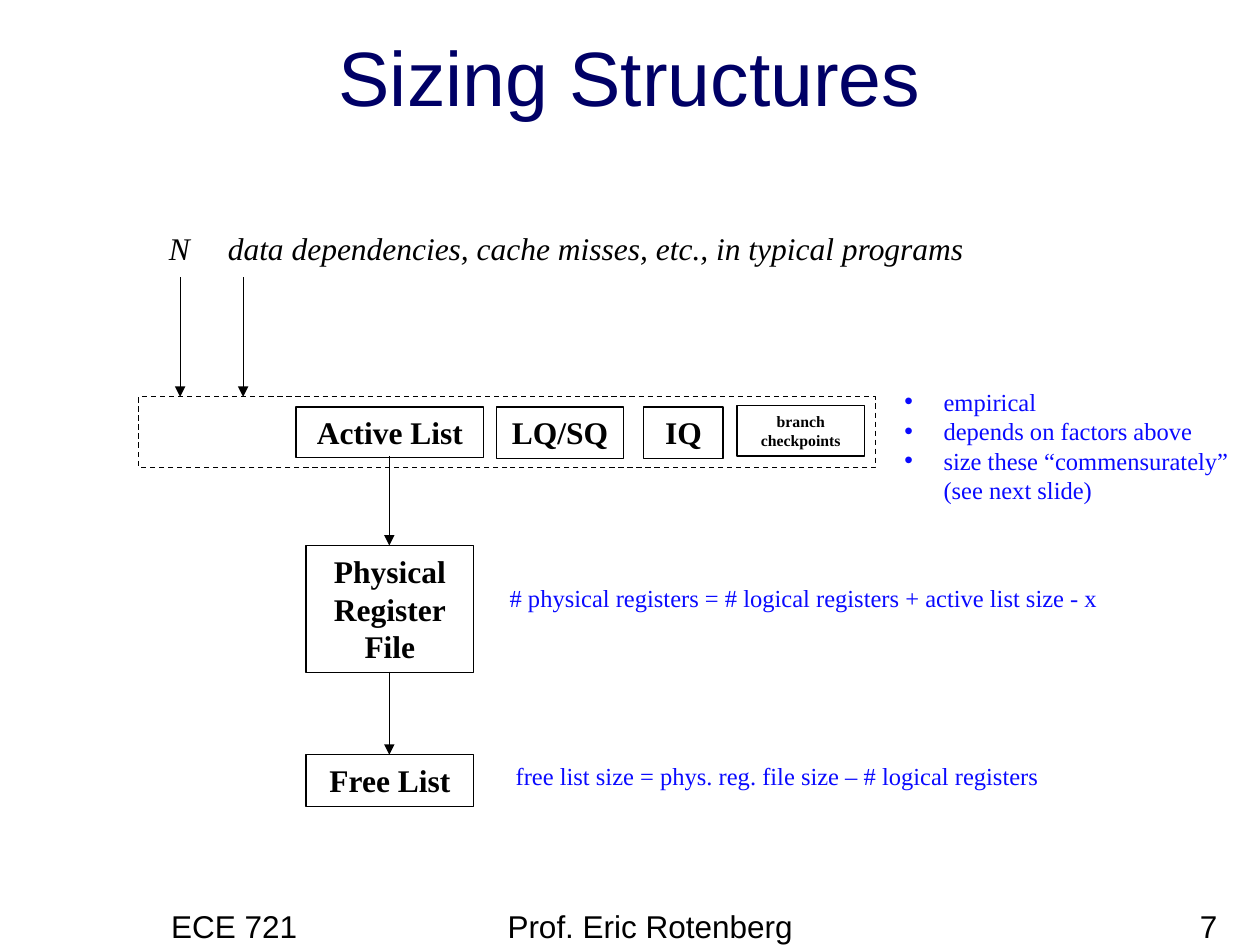
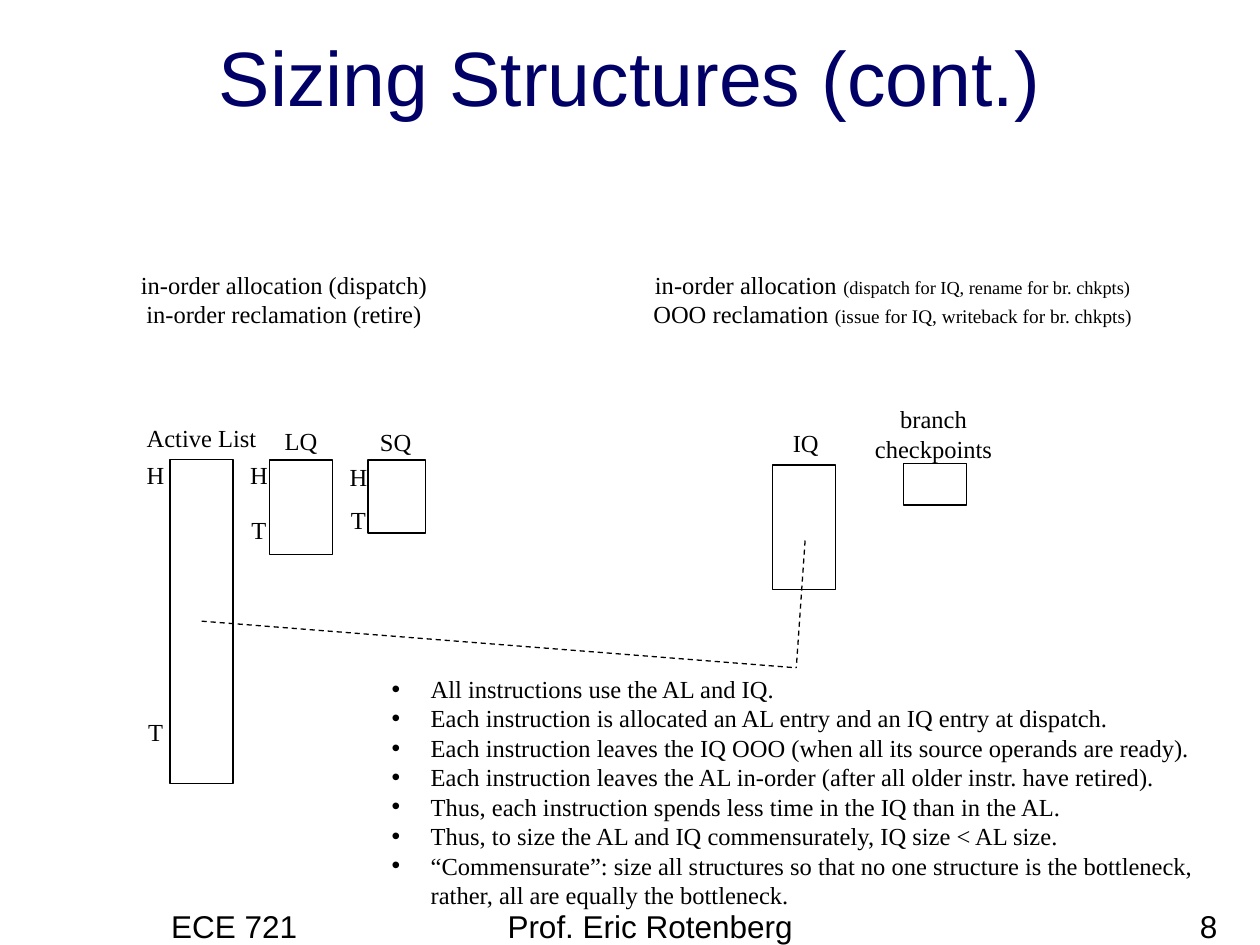
from dataclasses import dataclass
from typing import NamedTuple

from lxml import etree
from pptx import Presentation
from pptx.dml.color import RGBColor
from pptx.enum import dml, shapes, text
from pptx.oxml import ns
from pptx import util as u

# Shared look
NAVY, BLACK, BLUE = "000066", "000000", "0A0AFF"
SANS, SERIF = "Arial", "Times New Roman"
LEFT, CENTER, RIGHT = text.PP_ALIGN.LEFT, text.PP_ALIGN.CENTER, text.PP_ALIGN.RIGHT
COLUMNS, ROWS = 100, 75
LABEL_COLUMNS, LABEL_ROWS = 16, 3.4

deck = Presentation()
deck.slide_width, deck.slide_height = u.Inches(10), u.Inches(7.5)


class Area(NamedTuple):
    """Place on the grid: left column, top row, columns wide, rows high."""
    left: float
    top: float
    wide: float
    high: float


class Span(NamedTuple):
    words: str
    size: float


@dataclass
class Block:
    """A rectangle with an optional bold caption inside."""
    area: Area
    caption: tuple = ()
    size: float = 18
    dashed: bool = False


@dataclass
class Queue:
    """A rectangle with its name and its head and tail marks around it."""
    area: Area
    name: tuple
    name_middle: float
    name_top: float
    mark_middle: float = 0
    mark_tops: tuple = ()


def column(count: float) -> u.Emu:
    return u.Emu(round(deck.slide_width * count / COLUMNS))


def row(count: float) -> u.Emu:
    return u.Emu(round(deck.slide_height * count / ROWS))


def place(area: Area) -> tuple:
    return column(area.left), row(area.top), column(area.wide), row(area.high)


def paint(target, color: str) -> None:
    """Colour a font or a line."""
    fill = target.fill
    fill.solid()
    fill.fore_color.rgb = RGBColor.from_string(color)


def add_bullet(para) -> None:
    settings = para._p.get_or_add_pPr()
    settings.set("marL", str(u.Inches(0.31)))
    settings.set("indent", str(-u.Inches(0.31)))
    etree.SubElement(settings, ns.qn("a:buFont")).set("typeface", SANS)
    etree.SubElement(settings, ns.qn("a:buChar")).set("char", "•")


def write(frame, lines, *, size=14.0, font=SERIF, color=BLACK, align=CENTER,
          bold=False, italic=False, bullets=False, wrap=True,
          anchor=text.MSO_ANCHOR.TOP) -> None:
    """Fill a text frame; a line is a string or a list of spans."""
    frame.word_wrap = wrap
    frame.vertical_anchor = anchor
    for number, line in enumerate(lines):
        para = frame.add_paragraph() if number else frame.paragraphs[0]
        para.alignment = align
        if bullets:
            add_bullet(para)
        for span in [Span(line, size)] if isinstance(line, str) else line:
            for part_number, part in enumerate(span.words.split("\n")):
                if part_number:
                    para.add_line_break()
                run = para.add_run()
                run.text = part
                run.font.size, run.font.name = u.Pt(span.size), font
                run.font.bold, run.font.italic = bold, italic
                paint(run.font, color)


def add_text(page, area: Area, *lines, **style) -> None:
    write(page.shapes.add_textbox(*place(area)).text_frame, lines, **style)


def add_label(page, middle: float, top: float, *lines) -> None:
    """Small text centred on a column, in a box with room to spare."""
    area = Area(middle - LABEL_COLUMNS / 2, top, LABEL_COLUMNS, LABEL_ROWS * len(lines))
    add_text(page, area, *lines)


def style_line(line, dashed: bool = False) -> None:
    paint(line, BLACK)
    line.width = u.Pt(0.75)
    if dashed:
        line.dash_style = dml.MSO_LINE.DASH


def add_block(page, block: Block) -> None:
    box = page.shapes.add_shape(shapes.MSO_SHAPE.RECTANGLE, *place(block.area))
    box.shadow.inherit = False
    box.fill.background()
    style_line(box.line, block.dashed)
    if block.caption:
        write(box.text_frame, block.caption, size=block.size, bold=True)


def add_line(page, start: tuple, end: tuple, *, dashed=False, arrow=False) -> None:
    link = page.shapes.add_connector(
        shapes.MSO_CONNECTOR.STRAIGHT,
        column(start[0]), row(start[1]), column(end[0]), row(end[1]))
    style_line(link.line, dashed)
    if arrow:
        etree.SubElement(link.line._get_or_add_ln(), ns.qn("a:tailEnd")).set("type", "triangle")
    etree.SubElement(link._element.spPr, ns.qn("a:effectLst"))


def add_queue(page, queue: Queue) -> None:
    add_block(page, Block(queue.area))
    add_label(page, queue.name_middle, queue.name_top, *queue.name)
    for mark, top in zip("HT", queue.mark_tops):
        add_label(page, queue.mark_middle, top, mark)


def add_page(title: str, number: int):
    """Start a slide with its title and footers."""
    page = deck.slides.add_slide(deck.slide_layouts[5])
    heading = page.shapes.title
    heading.left, heading.top, heading.width, heading.height = place(Area(0, 1.8, COLUMNS, 8.4))
    write(heading.text_frame, [title], size=44, font=SANS, color=NAVY,
          anchor=text.MSO_ANCHOR.BOTTOM)
    for left, wide, words, align in (
            (12.6, 20.8, "ECE 721", LEFT),
            (39.3, 31.7, "Prof. Eric Rotenberg", LEFT),
            (76.8, 20.8, str(number), RIGHT)):
        add_text(page, Area(left, 71.5, wide, 5), words, size=18, font=SANS, align=align)
    return page


# Slide 7: what sets the size of each structure
page = add_page("Sizing Structures", 7)
add_text(page, Area(2.6, 17.7, 23.3, 4), "N", size=18, italic=True)
add_text(page, Area(16.8, 17.7, 61, 4),
         "data dependencies, cache misses, etc., in typical programs",
         size=18, italic=True, wrap=False)

for block in (
        Block(Area(24.3, 43.3, 13.3, 10.1), ("Physical Register", "File")),
        Block(Area(24.3, 59.9, 13.3, 4.1), ("Free List",)),
        Block(Area(39.4, 32.3, 10.1, 4.1), ("LQ/SQ",)),
        Block(Area(51.1, 32.3, 6.3, 4.1), ("IQ",)),
        Block(Area(58.5, 32.2, 10.1, 4), ("branch checkpoints",), size=9),
        Block(Area(23.5, 32.3, 14.9, 4), ("Active List",)),
        Block(Area(11, 31.5, 58.5, 5.6), dashed=True)):
    add_block(page, block)

for across, start, end in ((14.3, 22, 31.5), (19.3, 22, 31.5),
                           (30.9, 36.2, 43.3), (30.9, 53.3, 59.9)):
    add_line(page, (across, start), (across, end), arrow=True)

add_text(page, Area(38.4, 45.8, 50.8, LABEL_ROWS),
         "# physical registers = # logical registers + active list size - x", color=BLUE)
add_text(page, Area(36.7, 59.9, 50, LABEL_ROWS),
         "free list size = phys. reg. file size – # logical registers", color=BLUE)
add_text(page, Area(70.8, 30.2, 29.2, 10.4),
         "empirical",
         "depends on factors above",
         "size these “commensurately”\n(see next slide)",
         color=BLUE, align=LEFT, bullets=True)

# Slide 8: commensurate sizes
page = add_page("Sizing Structures (cont.)", 8)
add_text(page, Area(50.7, 20.9, 40.3, 5.7),
         [Span("in-order allocation ", 14), Span("(dispatch for IQ, rename for br. chkpts)", 10.5)],
         [Span("OOO reclamation ", 14), Span("(issue for IQ, writeback for br. chkpts)", 11)],
         wrap=False)
add_text(page, Area(10.1, 20.9, 24.9, 5.7),
         "in-order allocation (dispatch)", "in-order reclamation (retire)", wrap=False)

for queue in (
        Queue(Area(13.5, 36.5, 5, 25.7), ("Active List",), 16, 33.1, 12.35, (36, 56.4)),
        Queue(Area(21.4, 36.5, 5, 7.5), ("LQ",), 23.9, 33.3, 20.55, (36, 40.4)),
        Queue(Area(29.2, 36.5, 4.6, 5.8), ("SQ",), 31.4, 33.4, 28.45, (36.2, 39.6)),
        Queue(Area(61.3, 36.9, 5, 9.9), ("IQ",), 63.95, 33.5),
        Queue(Area(71.7, 36.8, 5, 3.3), ("branch", "checkpoints"), 74.1, 31.6)):
    add_queue(page, queue)

# Dashed lines tie the active list and the IQ to the notes
notes_point = (63.2, 53)
for start in ((16, 49.3), (63.9, 42.9)):
    add_line(page, start, notes_point, dashed=True)

add_text(page, Area(30.1, 53, 66.2, 19.9),
         "All instructions use the AL and IQ.",
         "Each instruction is allocated an AL entry and an IQ entry at dispatch.",
         "Each instruction leaves the IQ OOO (when all its source operands are ready).",
         "Each instruction leaves the AL in-order (after all older instr. have retired).",
         "Thus, each instruction spends less time in the IQ than in the AL.",
         "Thus, to size the AL and IQ commensurately, IQ size < AL size.",
         "“Commensurate”: size all structures so that no one structure is the bottleneck,\n"
         "rather, all are equally the bottleneck.",
         align=LEFT, bullets=True)

deck.save("out.pptx")
